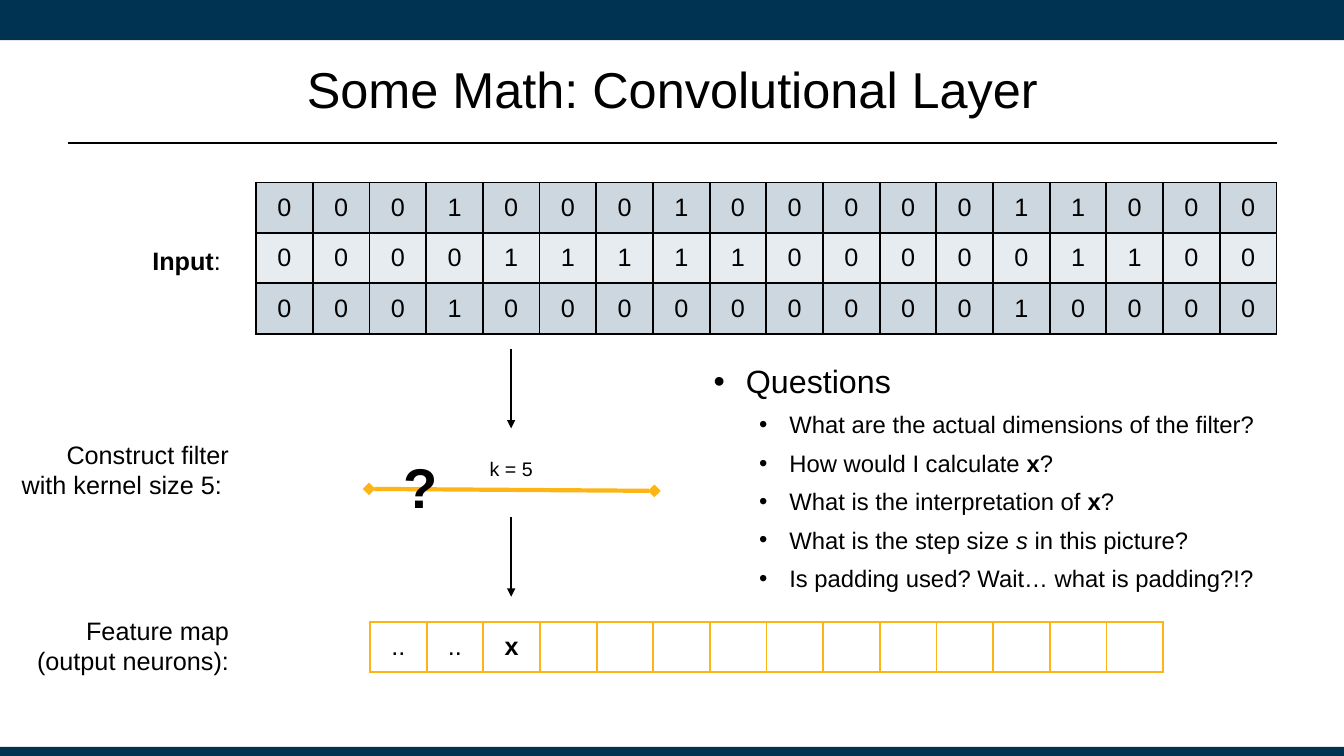
from dataclasses import dataclass

from lxml import etree
from pptx import Presentation
from pptx.dml.color import RGBColor as RGB
from pptx.enum.shapes import MSO_CONNECTOR as CONN, MSO_SHAPE as SHAPE
from pptx.enum.text import MSO_ANCHOR as ANCHOR, PP_ALIGN as ALIGN
from pptx.oxml import parse_xml
from pptx.oxml.ns import nsdecls, qn
from pptx.util import Inches, Pt


@dataclass(frozen=True)
class Theme:
    font: str = "Arial"
    black: str = "000000"
    navy: str = "003252"
    gold: str = "FDB515"
    bands: tuple = ("CDD7DF", "E7ECF0")
    title: int = 36
    label: int = 18
    kernel: int = 14
    heading: int = 23
    question: int = 17
    mark: int = 40


theme = Theme()


def add_runs(p, runs, size):
    """Each run is a string or a (string, style) pair, style being 'b' or 'i'."""
    for run in runs:
        text, style = (run, "") if isinstance(run, str) else run
        r = p.add_run()
        r.text = text
        r.font.name = theme.font
        r.font.size = Pt(size)
        r.font.color.rgb = RGB.from_string(theme.black)
        r.font.bold = style == "b"
        r.font.italic = style == "i"


def add_text(box, paragraphs, size, align, inset=0.05, anchor=ANCHOR.TOP):
    tf = s.shapes.add_textbox(*map(Inches, box)).text_frame
    tf.word_wrap = True
    tf.vertical_anchor = anchor
    tf.margin_left = tf.margin_right = Inches(0.1)
    tf.margin_top = tf.margin_bottom = Inches(inset)
    for i, runs in enumerate(paragraphs):
        p = tf.add_paragraph() if i else tf.paragraphs[0]
        p.alignment = align
        add_runs(p, runs, size)
    return tf


prs = Presentation()
prs.slide_width, prs.slide_height = Inches(13.33), Inches(7.5)
s = prs.slides.add_slide(prs.slide_layouts[6])

# Bars along the top and bottom edges
for top, height in ((0, 0.4), (7.41, 0.09)):
    sp = s.shapes.add_shape(SHAPE.RECTANGLE, 0, Inches(top), prs.slide_width, Inches(height))
    sp.shadow.inherit = False
    sp.fill.solid()
    sp.fill.fore_color.rgb = RGB.from_string(theme.navy)
    sp.line.fill.background()

# Title and row labels
add_text((0.67, 0.25, 12, 1.25), [["Some Math: Convolutional Layer"]],
         theme.title, ALIGN.CENTER, anchor=ANCHOR.MIDDLE)
for box, paragraphs in (
    ((0.75, 2.38, 1.54, 0.71), [[("Input", "b"), ":"]]),
    ((0.11, 4.31, 2.26, 0.71), [["Construct filter with kernel size 5: "]]),
    ((0.17, 6.05, 2.2, 0.71), [["Feature map"], ["(output neurons):"]]),
):
    add_text(box, paragraphs, theme.label, ALIGN.RIGHT)

# Input matrix and feature map
input_rows = ["000100010000011000", "000011111000001100", "000100000000010000"]
feature_rows = [["..", "..", ("x", "b")] + [""] * 11]
for left, top, width, row_height, rows, border, bands in (
    (2.54, 1.81, 10.12, 0.5, input_rows, theme.black, theme.bands),
    (3.67, 6.17, 7.87, 0.48, feature_rows, theme.gold, None),
):
    n_cols = len(rows[0])
    table = s.shapes.add_table(len(rows), n_cols, Inches(left), Inches(top),
                               Inches(width), Inches(row_height * len(rows))).table
    table.first_row = table.horz_banding = False
    for col in table.columns:
        col.width = Inches(width / n_cols)
    for i, values in enumerate(rows):
        table.rows[i].height = Inches(row_height)
        for j, value in enumerate(values):
            cell = table.cell(i, j)
            cell.vertical_anchor = ANCHOR.MIDDLE
            cell.margin_left = cell.margin_right = Inches(0.1)
            cell.margin_top = cell.margin_bottom = Inches(0.1)
            p = cell.text_frame.paragraphs[0]
            p.alignment = ALIGN.CENTER
            if value:
                add_runs(p, [value], theme.label)
            tcPr = cell._tc.get_or_add_tcPr()
            for side in "LRTB":
                tcPr.append(parse_xml(
                    f'<a:ln{side} {nsdecls("a")} w="{Pt(1.5)}"><a:solidFill>'
                    f'<a:srgbClr val="{border}"/></a:solidFill></a:ln{side}>'))
            if bands:
                cell.fill.solid()
                cell.fill.fore_color.rgb = RGB.from_string(bands[i % 2])
            else:
                cell.fill.background()

# Title rule, flow arrows and kernel span
arrow = {"tailEnd": "triangle"}
span = {"headEnd": "diamond", "tailEnd": "diamond"}
for x1, y1, x2, y2, color, width, ends in (
    (0.67, 1.42, 12.67, 1.42, theme.black, 1.25, {}),
    (5.07, 3.46, 5.07, 4.25, theme.black, 1.5, arrow),
    (5.07, 5.13, 5.07, 5.92, theme.black, 1.5, arrow),
    (3.66, 4.85, 6.49, 4.87, theme.gold, 3, span),
):
    line = s.shapes.add_connector(CONN.STRAIGHT, *map(Inches, (x1, y1, x2, y2)))
    line.line.color.rgb = RGB.from_string(color)
    line.line.width = Pt(width)
    for end, kind in ends.items():
        etree.SubElement(line.line._get_or_add_ln(), qn(f"a:{end}"), type=kind)
    etree.SubElement(line._element.spPr, qn("a:effectLst"))

# Kernel caption and question mark
add_text((4.01, 4.43, 2.12, 0.44), [["k = 5"]], theme.kernel, ALIGN.CENTER, inset=0.1)
add_text((2.53, 4.39, 3.28, 0.88), [[("?", "b")]], theme.mark, ALIGN.CENTER, inset=0.1)

# Questions
tf = add_text((6.92, 3.54, 5.75, 3.16), [["Questions"]], theme.heading, ALIGN.LEFT)
for runs in (
    ["What are the actual dimensions of the filter?"],
    ["How would I calculate ", ("x", "b"), "?"],
    ["What is the interpretation of ", ("x", "b"), "?"],
    ["What is the step size ", ("s", "i"), " in this picture?"],
    ["Is padding used? Wait… what is padding?!?"],
):
    p = tf.add_paragraph()
    p.level = 1
    p.space_before = Pt(7)
    add_runs(p, runs, theme.question)
for p in tf.paragraphs:
    margin, indent = (0.81, -0.3) if p.level else (0.38, -0.32)
    pPr = p._p.get_or_add_pPr()
    pPr.set("marL", str(Inches(margin)))
    pPr.set("indent", str(Inches(indent)))
    etree.SubElement(pPr, qn("a:buFont"), typeface=theme.font)
    etree.SubElement(pPr, qn("a:buChar"), char="•")

prs.save("out.pptx")
